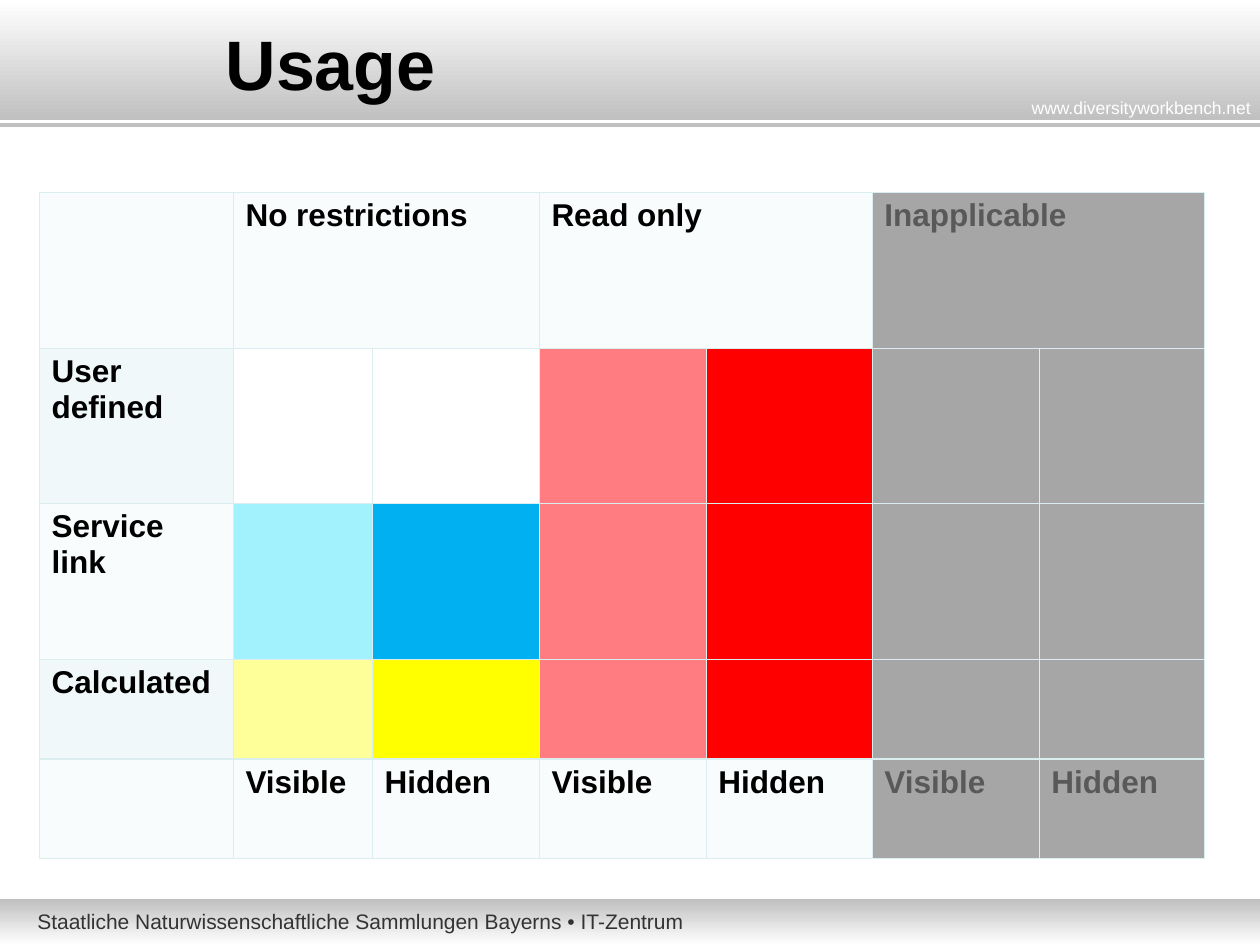
from lxml import etree
from pptx import Presentation
from pptx.dml.color import RGBColor
from pptx.enum.shapes import MSO_CONNECTOR, MSO_SHAPE
from pptx.enum.text import MSO_ANCHOR, MSO_AUTO_SIZE, PP_ALIGN
from pptx.oxml import parse_xml
from pptx.oxml.ns import nsdecls, qn
from pptx.util import Pt

SCALE = 914400 / 126  # EMU per px
FONT = "Arial"

BLACK = RGBColor(0x00, 0x00, 0x00)
WHITE = RGBColor(0xFF, 0xFF, 0xFF)
SILVER = RGBColor(0xC0, 0xC0, 0xC0)
FOOTER_GRAY = RGBColor(0x33, 0x33, 0x33)
OFF_GRAY = RGBColor(0xA6, 0xA6, 0xA6)
OFF_TEXT = RGBColor(0x59, 0x59, 0x59)
PALE = RGBColor(0xF8, 0xFC, 0xFC)
BAND = RGBColor(0xF1, 0xF8, 0xF9)
BORDER = RGBColor(0xDA, 0xED, 0xEF)
PINK = RGBColor(0xFF, 0x7C, 0x80)
RED = RGBColor(0xFF, 0x00, 0x00)
AQUA = RGBColor(0xA1, 0xF2, 0xFD)
BLUE = RGBColor(0x00, 0xB0, 0xF0)
CREAM = RGBColor(0xFF, 0xFF, 0x99)
YELLOW = RGBColor(0xFF, 0xFF, 0x00)

# Usage matrix
COLS = [194, 139, 167, 167, 166, 167, 166]
ROWS = [156, 155, 156, 100, 100]
RESTRICTED = [PINK, RED, OFF_GRAY, OFF_GRAY]
LABEL_FILLS = [PALE] * 5 + [OFF_GRAY] * 2
GROUPS = ["No restrictions", "Read only", "Inapplicable"]
MATRIX = [
    ([""] + [t for g in GROUPS for t in (g, "")], LABEL_FILLS),
    (["User defined"] + [""] * 6, [BAND, WHITE, WHITE] + RESTRICTED),
    (["Service link"] + [""] * 6, [PALE, AQUA, BLUE] + RESTRICTED),
    (["Calculated"] + [""] * 6, [BAND, CREAM, YELLOW] + RESTRICTED),
    ([""] + ["Visible", "Hidden"] * 3, LABEL_FILLS),
]


def px(n):
    return round(n * SCALE)


def box(*lengths):
    return [px(n) for n in lengths]


def add_run(p, text, size, color, bold=False):
    r = p.add_run()
    r.text = text
    r.font.name, r.font.size, r.font.bold = FONT, Pt(size), bold
    r.font.color.rgb = color


def add_bar(s, y, height, top, bottom):
    sp = s.shapes.add_shape(MSO_SHAPE.RECTANGLE, *box(0, y, 1260, height))
    sp.shadow.inherit = False
    sp.line.fill.background()
    sp.fill.gradient()
    sp.fill.gradient_angle = 270
    for stop, color in zip(sp.fill.gradient_stops, (top, bottom)):
        stop.color.rgb = color


def add_rule(s, y, color, weight):
    line = s.shapes.add_connector(MSO_CONNECTOR.STRAIGHT, *box(0, y, 1260, y))
    line.line.color.rgb = color
    line.line.width = Pt(weight)
    etree.SubElement(line.element.spPr, qn("a:effectLst"))


def add_label(s, place, text, size, color, align=PP_ALIGN.LEFT, wrap=True):
    tf = s.shapes.add_textbox(*box(*place)).text_frame
    tf.word_wrap = wrap
    p = tf.paragraphs[0]
    p.alignment = align
    add_run(p, text, size, color)


def set_title(s, place, text):
    sp = s.shapes.title
    sp.left, sp.top, sp.width, sp.height = box(*place)
    sp.element.getparent().append(sp.element)  # in front of the header bar
    tf = sp.text_frame
    tf.auto_size = MSO_AUTO_SIZE.NONE
    tf.vertical_anchor = MSO_ANCHOR.BOTTOM
    p = tf.paragraphs[0]
    p.alignment = PP_ALIGN.LEFT
    add_run(p, text, 40, BLACK, bold=True)


def set_borders(cell, **weights):
    tc_pr = cell._tc.get_or_add_tcPr()
    for side in "LRTB":
        width = Pt(weights.get(side, 0.45))
        tc_pr.append(parse_xml(
            f'<a:ln{side} {nsdecls("a")} w="{width}"><a:solidFill>'
            f'<a:srgbClr val="{BORDER}"/></a:solidFill></a:ln{side}>'))


def add_matrix(s, x, y):
    place = box(x, y, sum(COLS), sum(ROWS))
    table = s.shapes.add_table(len(ROWS), len(COLS), *place).table
    table.first_row = table.horz_banding = False
    for col, width in zip(table.columns, COLS):
        col.width = px(width)
    for row, height in zip(table.rows, ROWS):
        row.height = px(height)

    # A heavier rule sets off the last row
    heavy = {len(ROWS) - 2: {"B": 0.96}, len(ROWS) - 1: {"T": 0.96}}
    for i, (texts, fills) in enumerate(MATRIX):
        for j, (text, fill) in enumerate(zip(texts, fills)):
            cell = table.cell(i, j)
            set_borders(cell, **heavy.get(i, {}))
            cell.fill.solid()
            cell.fill.fore_color.rgb = fill
            if text:
                color = OFF_TEXT if fill == OFF_GRAY else BLACK
                add_run(cell.text_frame.paragraphs[0], text, 18, color, bold=True)

    # Each group heading spans its visible and hidden columns
    for j in range(1, len(COLS), 2):
        table.cell(0, j).merge(table.cell(0, j + 1))


def main():
    prs = Presentation()
    prs.slide_width, prs.slide_height = box(1260, 945)
    s = prs.slides.add_slide(prs.slide_layouts[5])

    # Header and footer
    add_bar(s, 0, 120, WHITE, SILVER)
    add_bar(s, 899, 46, SILVER, WHITE)
    add_label(s, (25, 902, 932, 38),
              "Staatliche Naturwissenschaftliche Sammlungen Bayerns • IT-Zentrum",
              12, FOOTER_GRAY)
    add_rule(s, 125, SILVER, 2.25)
    add_label(s, (1018, 91, 245, 34), "www.diversityworkbench.net",
              10, WHITE, PP_ALIGN.RIGHT, wrap=False)

    # Content
    set_title(s, (213, 11, 988, 100), "Usage")
    add_matrix(s, 39, 192)
    prs.save("out.pptx")


if __name__ == "__main__":
    main()
